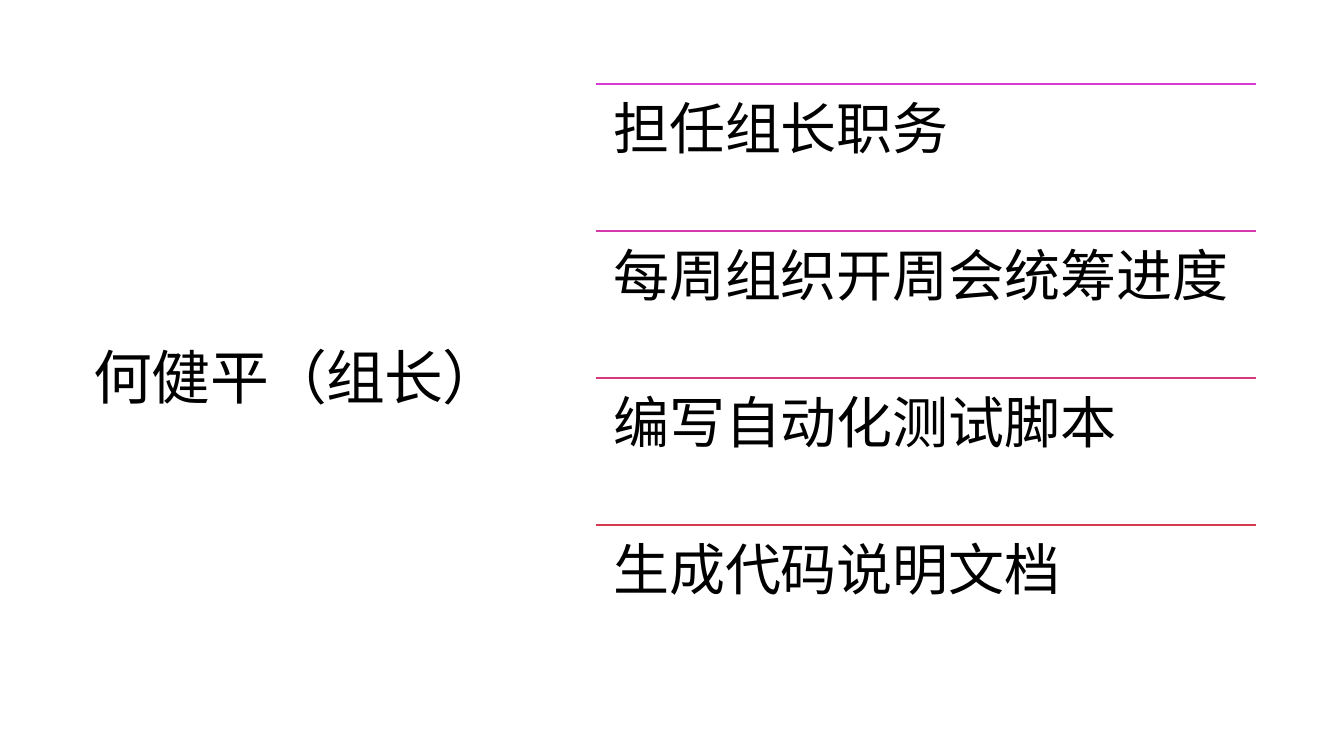
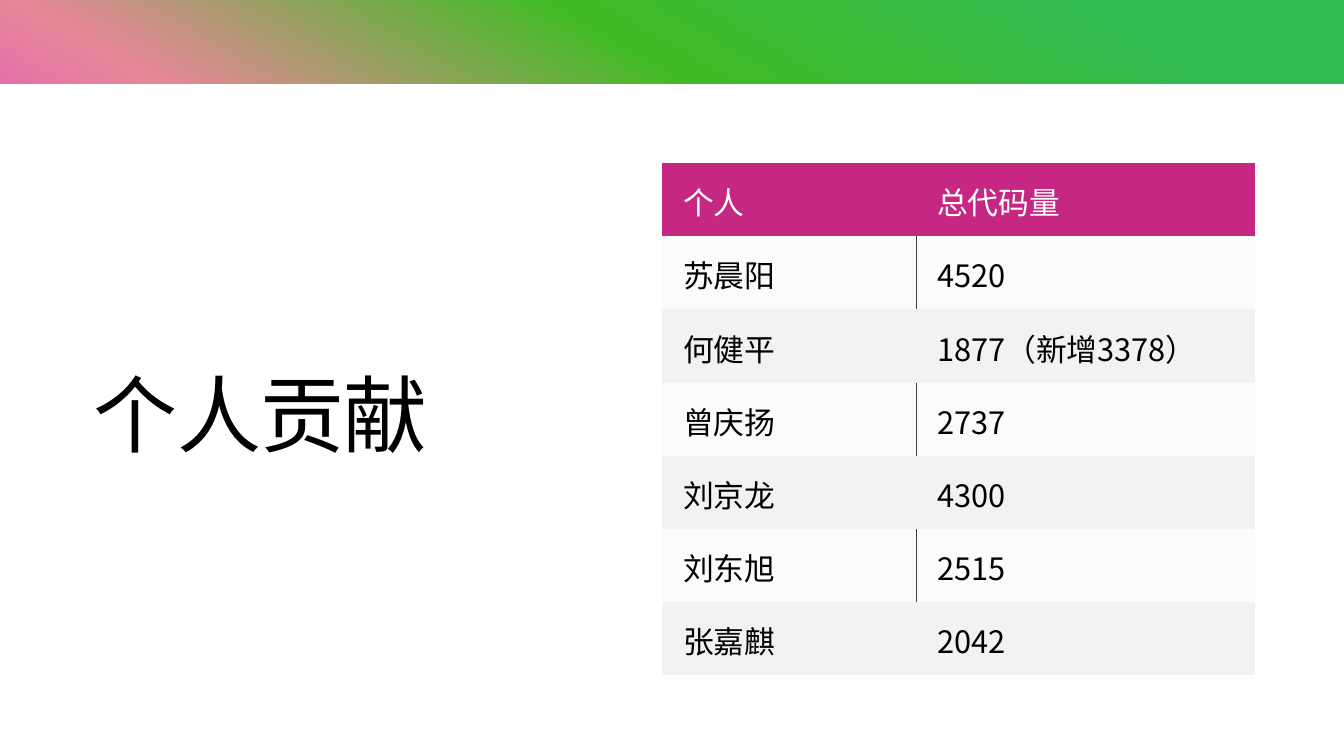
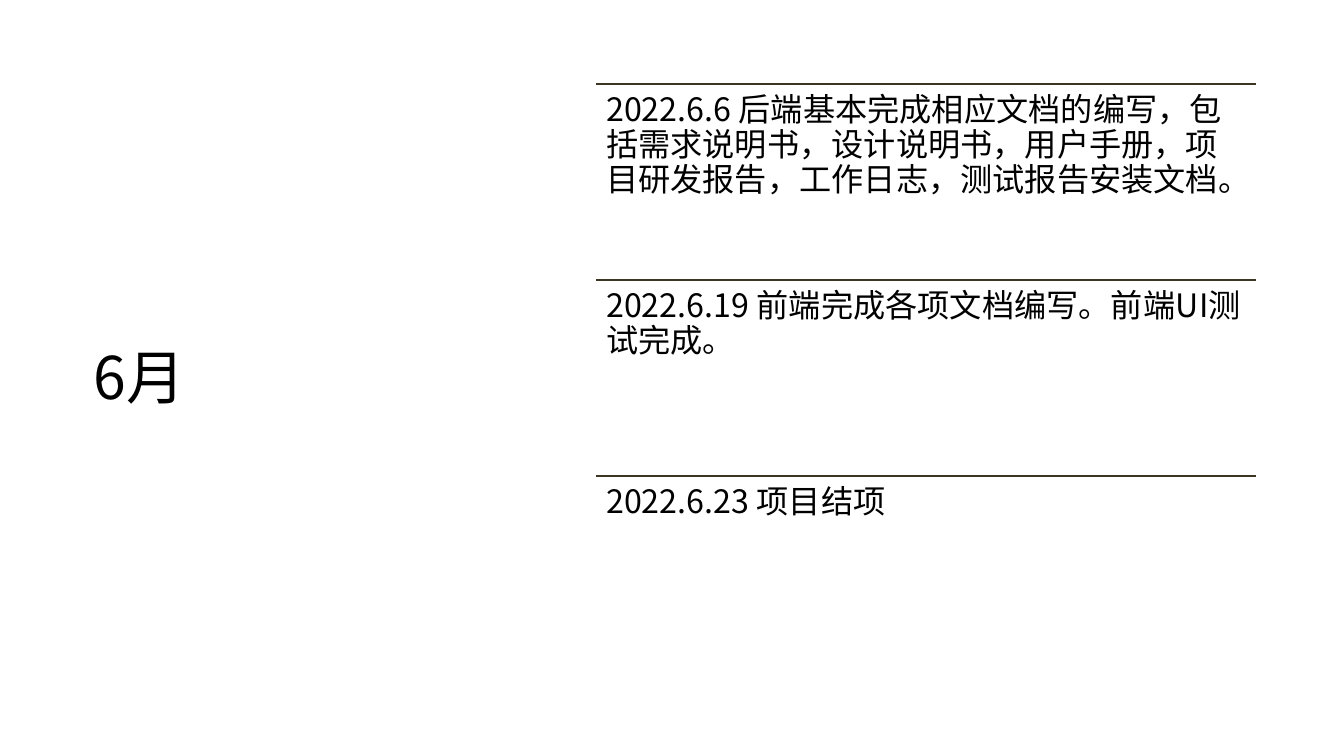
from lxml import etree
from pptx import Presentation
from pptx.dml.color import RGBColor
from pptx.enum.shapes import MSO_CONNECTOR, MSO_SHAPE
from pptx.enum.text import MSO_ANCHOR
from pptx.oxml import parse_xml
from pptx.oxml.ns import qn
from pptx.util import Pt

STRAIGHT = MSO_CONNECTOR.STRAIGHT
RECTANGLE = MSO_SHAPE.RECTANGLE
TOP, MIDDLE, BOTTOM = MSO_ANCHOR.TOP, MSO_ANCHOR.MIDDLE, MSO_ANCHOR.BOTTOM

SLIDE_WIDTH, SLIDE_HEIGHT = 960, 540
BAND_HEIGHT = 60
TITLE_LEFT = 60
LIST_LEFT, LIST_TOP, LIST_WIDTH, LIST_HEIGHT = 426, 60, 471, 420

FONT = "Noto Sans CJK SC"
BLACK, WHITE, MAGENTA = "000000", "FFFFFF", "C52783"
ROW_GREY, BORDER_GREY, DARK_BROWN = "F2F2F2", "404040", "3C3522"
BAND_STOPS = [(10, "32BB51"), (30, "41BB25"), (50, "E78898"),
              (70, "D739D6"), (90, MAGENTA)]
BAND_ANGLE = 120
DRAWING_NAMESPACE = 'xmlns:a="http://schemas.openxmlformats.org/drawingml/2006/main"'
PLAIN_TABLE_STYLE = "{2D5ABB26-0587-4C30-8999-92F81FD0307C}"
CELL_FORMAT = {"margin_left": Pt(15), "margin_right": Pt(19),
               "margin_top": Pt(11.5), "margin_bottom": Pt(11.5)}

LEADER_DUTIES = ["担任组长职务", "每周组织开周会统筹进度", "编写自动化测试脚本", "生成代码说明文档"]
DUTY_COLOURS = ["D739D6", "D739AA", "D7397F", "D73953"]
CODE_AMOUNTS = [
    ("个人", "总代码量"),
    ("苏晨阳", "4520"),
    ("何健平", "1877（新增3378）"),
    ("曾庆扬", "2737"),
    ("刘京龙", "4300"),
    ("刘东旭", "2515"),
    ("张嘉麒", "2042"),
]
JUNE_EVENTS = [
    "2022.6.6 后端基本完成相应文档的编写，包括需求说明书，设计说明书，用户手册，"
    "项目研发报告，工作日志，测试报告安装文档。",
    "2022.6.19 前端完成各项文档编写。前端UI测试完成。",
    "2022.6.23 项目结项",
]


def colour(value):
    return RGBColor.from_string(value)


def apply_format(target, values):
    for name, value in values.items():
        setattr(target, name, value)


def write_text(frame, text, size, text_colour=BLACK, line_spacing=1.0, tracking=None):
    paragraph = frame.paragraphs[0]
    paragraph.line_spacing = line_spacing
    run = paragraph.add_run()
    run.text = text
    apply_format(run.font, {"size": Pt(size), "name": FONT})
    run.font.color.rgb = colour(text_colour)
    properties = run.font._element
    etree.SubElement(properties, qn("a:ea")).set("typeface", FONT)
    if tracking is not None:
        properties.set("spc", str(round(tracking * 100)))


def add_text(slide, box, text, size, inset=7.2, anchor=TOP, **text_style):
    frame = slide.shapes.add_textbox(*map(Pt, box)).text_frame
    margins = {f"margin_{side}": Pt(inset) for side in ("left", "right", "top", "bottom")}
    apply_format(frame, {"word_wrap": True, "vertical_anchor": anchor, **margins})
    write_text(frame, text, size, **text_style)


def add_title(slide, text, top, width, height, size, anchor):
    add_text(slide, (TITLE_LEFT, top, width, height), text, size,
             anchor=anchor, line_spacing=0.95, tracking=-0.5)


def add_rule(slide, top, line_colour):
    line = slide.shapes.add_connector(
        STRAIGHT, Pt(LIST_LEFT), Pt(top), Pt(LIST_LEFT + LIST_WIDTH), Pt(top))
    line.line.color.rgb = colour(line_colour)
    line.line.width = Pt(1)
    etree.SubElement(line._element.spPr, qn("a:effectLst"))


def add_ruled_list(slide, items, rule_colours, size, inset):
    """Share the list height equally, with a rule above each item."""
    pitch = LIST_HEIGHT / len(items)
    for index, (item, rule_colour) in enumerate(zip(items, rule_colours)):
        top = LIST_TOP + index * pitch
        add_rule(slide, top, rule_colour)
        add_text(slide, (LIST_LEFT, top, LIST_WIDTH, pitch), item, size,
                 inset=inset, line_spacing=0.9)


def add_rectangle(slide, top, height):
    shape = slide.shapes.add_shape(RECTANGLE, 0, Pt(top), Pt(SLIDE_WIDTH), Pt(height))
    shape.shadow.inherit = False
    shape.line.fill.background()
    return shape


def fill_gradient(shape, stops, angle):
    stop_xml = "".join(
        f'<a:gs pos="{position * 1000}"><a:srgbClr val="{value}"/></a:gs>'
        for position, value in stops)
    gradient = parse_xml(
        f'<a:gradFill {DRAWING_NAMESPACE} rotWithShape="1"><a:gsLst>{stop_xml}</a:gsLst>'
        f'<a:lin ang="{angle * 60000}" scaled="0"/></a:gradFill>')
    shape._element.spPr.find(qn("a:prstGeom")).addnext(gradient)


def add_gradient_band(slide):
    """Spread the gradient over the slide and leave only the top band open."""
    fill_gradient(add_rectangle(slide, 0, SLIDE_HEIGHT), BAND_STOPS, BAND_ANGLE)
    panel = add_rectangle(slide, BAND_HEIGHT, SLIDE_HEIGHT - BAND_HEIGHT)
    panel.fill.solid()
    panel.fill.fore_color.rgb = colour(WHITE)


def fill_cell(cell, value, opacity=100):
    cell.fill.solid()
    cell.fill.fore_color.rgb = colour(value)
    if opacity < 100:
        rgb = cell._tc.tcPr.find(f".//{qn('a:srgbClr')}")
        etree.SubElement(rgb, qn("a:alpha")).set("val", str(opacity * 1000))


def add_cell_border(cell, side):
    border = parse_xml(
        f'<a:ln{side} {DRAWING_NAMESPACE} w="{Pt(0.5)}"><a:solidFill>'
        f'<a:srgbClr val="{BORDER_GREY}"/></a:solidFill></a:ln{side}>')
    cell._tc.tcPr.insert(0, border)


def add_code_table(slide, rows, left, top, column_widths, row_height):
    table = slide.shapes.add_table(
        len(rows), len(column_widths), Pt(left), Pt(top),
        Pt(sum(column_widths)), Pt(row_height * len(rows))).table
    apply_format(table, {"first_row": False, "horz_banding": False})
    table._tbl.tblPr.find(qn("a:tableStyleId")).text = PLAIN_TABLE_STYLE
    for column, width in zip(table.columns, column_widths):
        column.width = Pt(width)
    for row_index, row in enumerate(rows):
        is_header, is_light = row_index == 0, row_index % 2 == 1
        for column_index, text in enumerate(row):
            cell = table.cell(row_index, column_index)
            apply_format(cell, CELL_FORMAT)
            cell.vertical_anchor = MIDDLE if is_header else TOP
            write_text(cell.text_frame, text, 22, WHITE if is_header else BLACK)
            fill_cell(cell, MAGENTA if is_header else ROW_GREY, 30 if is_light else 100)
            if is_light:
                add_cell_border(cell, "RL"[column_index])


def add_list_slide(presentation, title, items, rule_colours, size, inset):
    slide = add_blank_slide(presentation)
    add_title(slide, title, 61, 307.5, 420, 42, MIDDLE)
    add_ruled_list(slide, items, rule_colours, size, inset)


def add_contribution_slide(presentation):
    slide = add_blank_slide(presentation)
    add_gradient_band(slide)
    add_title(slide, "个人贡献", 119.5, 351, 220, 60, BOTTOM)
    add_code_table(slide, CODE_AMOUNTS, 473, 116.5, (181.5, 242), 52.25)


def add_blank_slide(presentation):
    return presentation.slides.add_slide(presentation.slide_layouts[6])


def main():
    presentation = Presentation()
    apply_format(presentation, {"slide_width": Pt(SLIDE_WIDTH),
                                "slide_height": Pt(SLIDE_HEIGHT)})
    add_list_slide(presentation, "何健平（组长）", LEADER_DUTIES, DUTY_COLOURS, 40, 12)
    add_contribution_slide(presentation)
    add_list_slide(presentation, "6月", JUNE_EVENTS, [DARK_BROWN] * len(JUNE_EVENTS), 23, 7)
    presentation.save("out.pptx")


if __name__ == "__main__":
    main()
